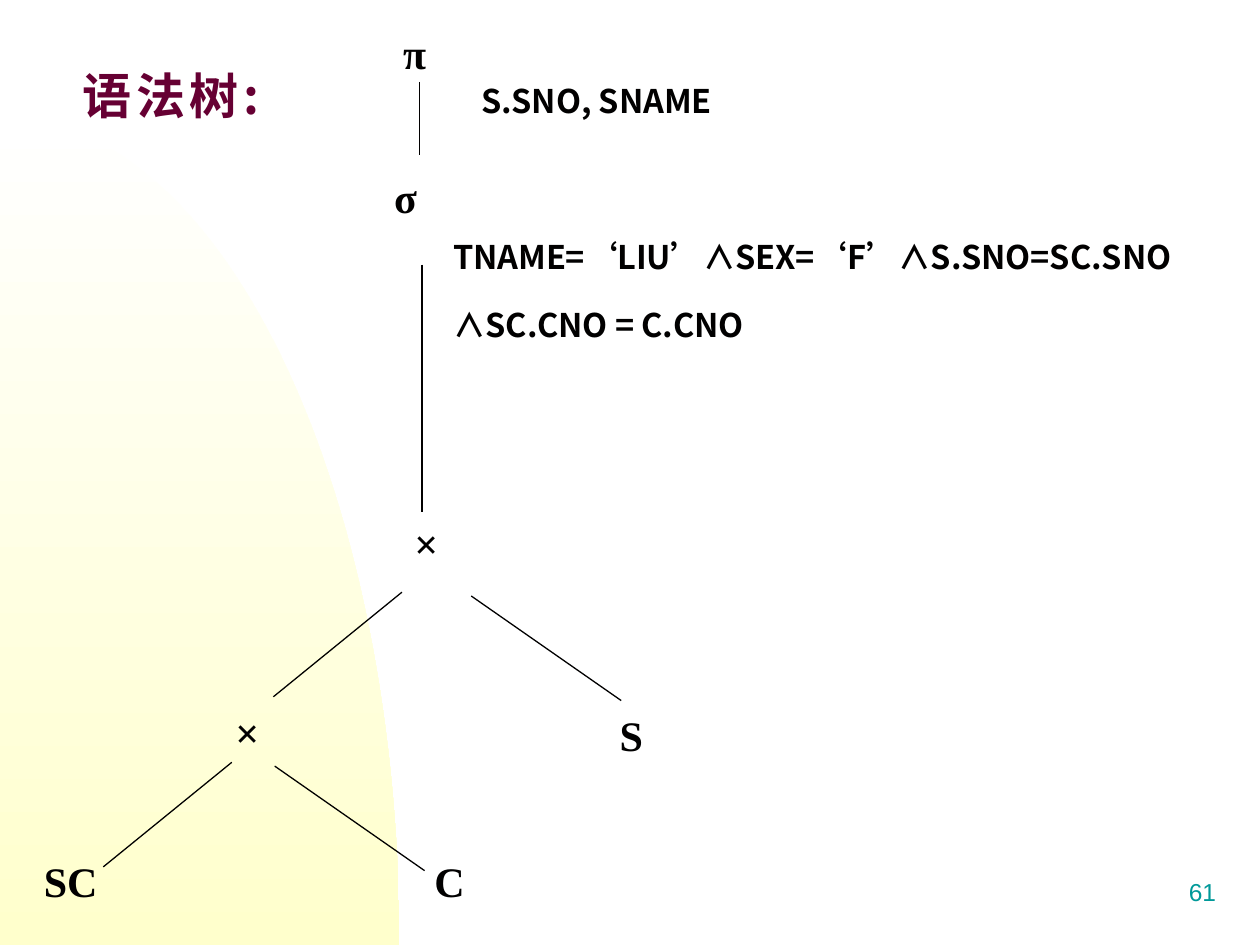
from dataclasses import dataclass
from math import cos, pi, sin

from lxml.etree import SubElement
from pptx import Presentation
from pptx.dml.color import RGBColor
from pptx.enum.shapes import MSO_CONNECTOR
from pptx.enum.text import MSO_ANCHOR, PP_ALIGN
from pptx.oxml.ns import qn
from pptx.util import Inches, Pt


@dataclass(frozen=True)
class Style:
    font: str
    size: float
    color: str
    bold: bool = True
    baseline: int = 0
    spacing: float = 1.0
    align: PP_ALIGN = PP_ALIGN.JUSTIFY
    anchor: MSO_ANCHOR = MSO_ANCHOR.TOP


class Theme:
    ink = "010000"
    glow_top = "FFFFFF"
    glow_bottom = "FFFFCC"
    line_width = 0.75
    node = Style("Times New Roman", 24, ink)
    subscript = Style("Noto Sans CJK SC", 32, ink, baseline=-10000)
    title = Style("Noto Sans CJK SC", 28, "660033", spacing=0.8)
    page = Style("Arial", 14, "009999", bold=False,
                 align=PP_ALIGN.RIGHT, anchor=MSO_ANCHOR.MIDDLE)


SLIDE_SIZE = (10, 7.5)
GLOW_RADII = (3.17, 6.58)
GLOW_STEPS = 60

TEXTS = [
    ("61", (7.67, 6.83, 2.08, 0.5), Theme.page),
    ("S.SNO, SNAME", (3.72, 0.36, 2.11, 0.56), Theme.subscript),
    ("π", (3.1, 0.17, 1.08, 0.5), Theme.node),
    ("TNAME=‘LIU’∧SEX=‘F’∧S.SNO=SC.SNO∧SC.CNO = C.CNO",
     (3.5, 1.6, 6.14, 1.13), Theme.subscript),
    ("σ", (3.03, 1.31, 0.9, 0.55), Theme.node),
    ("×", (3.19, 4.06, 0.85, 0.47), Theme.node),
    ("×", (1.77, 5.56, 0.55, 0.5), Theme.node),
    ("S", (4.82, 5.58, 0.52, 0.5), Theme.node),
    ("C", (3.35, 6.74, 0.63, 0.5), Theme.node),
    ("SC", (0.25, 6.74, 1.02, 0.5), Theme.node),
    ("语法树:", (0.56, 0.56, 1.47, 0.48), Theme.title),
]

LEFT_BRANCH = (-1.02, 0.83)
RIGHT_BRANCH = (1.19, 0.83)
EDGES = [
    ((3.33, 0.65), (0, 0.58)),
    ((3.35, 2.1), (0, 1.96)),
    ((3.19, 4.7), LEFT_BRANCH),
    ((3.74, 4.73), RIGHT_BRANCH),
    ((1.84, 6.05), LEFT_BRANCH),
    ((2.18, 6.08), RIGHT_BRANCH),
]


def add_glow(slide):
    radius_x, radius_y = GLOW_RADII
    bottom = SLIDE_SIZE[1]
    angles = [pi / 2 * step / GLOW_STEPS for step in range(GLOW_STEPS + 1)]
    arc = [(Inches(radius_x * sin(a)), Inches(bottom - radius_y * cos(a))) for a in angles]
    builder = slide.shapes.build_freeform(*arc[0], scale=1.0)
    builder.add_line_segments(arc[1:] + [(0, Inches(bottom))], close=True)
    glow = builder.convert_to_shape()
    glow.shadow.inherit = False
    glow.line.fill.background()
    glow.fill.gradient()
    glow.fill.gradient_angle = 270
    stops = zip(glow.fill.gradient_stops, (Theme.glow_top, Theme.glow_bottom))
    for position, (stop, color) in enumerate(stops):
        stop.position = position
        stop.color.rgb = RGBColor.from_string(color)


def add_text(slide, words, place, style):
    frame = slide.shapes.add_textbox(*map(Inches, place)).text_frame
    frame.word_wrap = True
    frame.vertical_anchor = style.anchor
    paragraph = frame.paragraphs[0]
    paragraph.alignment = style.align
    paragraph.line_spacing = style.spacing
    run = paragraph.add_run()
    run.text = words
    run.font.name = style.font
    run.font.size = Pt(style.size)
    run.font.bold = style.bold
    run.font.color.rgb = RGBColor.from_string(style.color)
    properties = run._r.get_or_add_rPr()
    SubElement(properties, qn("a:ea")).set("typeface", style.font)
    if style.baseline:
        properties.set("baseline", str(style.baseline))


def add_edge(slide, start, offset):
    end = [origin + shift for origin, shift in zip(start, offset)]
    edge = slide.shapes.add_connector(MSO_CONNECTOR.STRAIGHT, *map(Inches, (*start, *end)))
    edge.line.color.rgb = RGBColor.from_string(Theme.ink)
    edge.line.width = Pt(Theme.line_width)
    SubElement(edge._element.spPr, qn("a:effectLst"))


def main():
    deck = Presentation()
    deck.slide_width, deck.slide_height = map(Inches, SLIDE_SIZE)
    slide = deck.slides.add_slide(deck.slide_layouts[6])
    add_glow(slide)
    for start, offset in EDGES:
        add_edge(slide, start, offset)
    for words, place, style in TEXTS:
        add_text(slide, words, place, style)
    deck.save("out.pptx")


if __name__ == "__main__":
    main()
